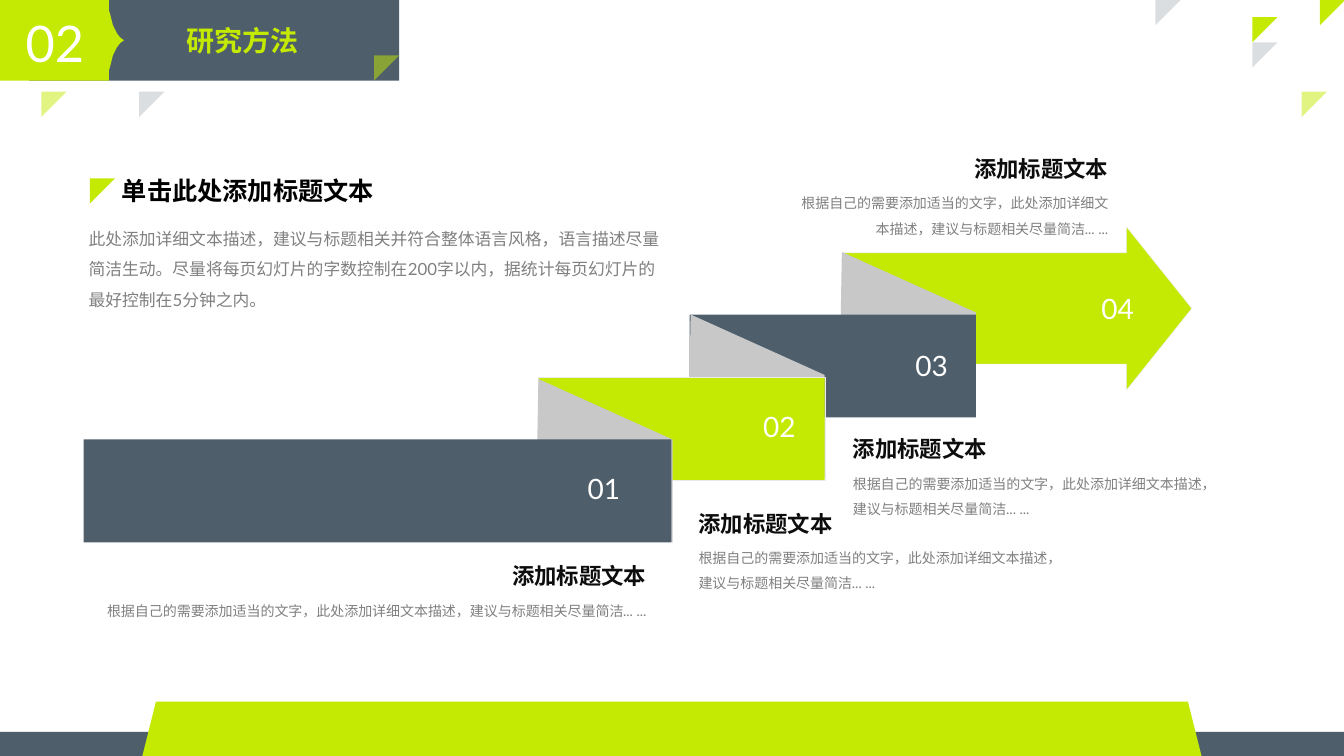
from pptx import Presentation, util as u
from pptx.dml.color import RGBColor
from pptx.enum import shapes, text
from pptx.oxml.ns import qn
from lxml import etree

# Content: lengths in px, 100 px to the inch
PX = 9144
LIME, SLATE, FOLD, EDGE = "C4E902", "4E5E6B", "C8C8C8", "EAEAEA"
WHITE, BLACK, INK, GREY = "FFFFFF", "000000", "0D0D0D", "808080"
KIND, ALIGN = shapes.MSO_SHAPE, text.PP_ALIGN
LEFT, MID, RIGHT = ALIGN.LEFT, ALIGN.CENTER, ALIGN.RIGHT

PART = ("02", "研究方法")
LEAD = "单击此处添加标题文本"
INTRO = ("此处添加详细文本描述，建议与标题相关并符合整体语言风格，语言描述尽量简洁生动。"
         "尽量将每页幻灯片的字数控制在200字以内，据统计每页幻灯片的最好控制在5分钟之内。")
HEAD = "添加标题文本"
NOTE = "根据自己的需要添加适当的文字，此处添加详细文本描述，建议与标题相关尽量简洁... ..."

# Corner triangles: x, y, colour, opacity in percent
CORNERS = [
    (1309, 0, LIME, 100), (1242, 42, SLATE, 20), (1291, 91, LIME, 50),
    (1242, 17, LIME, 100), (1146, 0, SLATE, 20),
    (41, 91, LIME, 50), (138, 91, SLATE, 20),
]
# Steps from back to front: band box, colour, edge, fold corner
STEPS = [
    ((836, 225, 346, 162), LIME, EDGE, (833, 250)),
    ((684, 312, 284, 102), SLATE, None, (683, 312)),
    ((534, 374, 284, 102), LIME, EDGE, (532, 376)),
    ((83, 436, 583, 102), SLATE, None, None),
]
FLAP = [(2, 0), (135, 60), (135, 162), (0, 112)]
# Step numbers: label, x, y, width
LABELS = [("01", 573, 463, 52), ("02", 745, 401, 56),
          ("03", 896, 341, 56), ("04", 1080, 284, 57)]
# Captions: x, y, width, height of note, alignment
NOTES = [(683, 501, 369, 58, LEFT), (836, 427, 369, 58, LEFT),
         (68, 553, 583, 33, RIGHT), (783, 149, 326, 58, RIGHT)]

deck = Presentation()
deck.slide_width, deck.slide_height = 1333 * PX, 750 * PX
page = deck.slides.add_slide(deck.slide_layouts[5])
tree = page.shapes


def color(code):
    return RGBColor.from_string(code)


def paint(shape, fill, edge=None, alpha=100):
    shape.shadow.inherit = False
    shape.fill.solid()
    shape.fill.fore_color.rgb = color(fill)
    if alpha < 100:
        tone = shape._element.spPr.find(qn("a:solidFill"))[0]
        etree.SubElement(tone, qn("a:alpha")).set("val", str(alpha * 1000))
    if edge:
        shape.line.color.rgb = color(edge)
        shape.line.width = u.Pt(0.25)
    else:
        shape.line.fill.background()
    return shape


def block(kind, box, fill, edge=None, alpha=100):
    shape = tree.add_shape(kind, *(n * PX for n in box))
    return paint(shape, fill, edge, alpha)


def corner(x, y, fill, alpha=100):
    block(KIND.RIGHT_TRIANGLE, (x, y, 25, 25), fill, alpha=alpha).rotation = 90


def outline(points, fill):
    path = tree.build_freeform(*points[0], scale=PX)
    path.add_line_segments(points[1:], close=True)
    return paint(path.convert_to_shape(), fill)


def curve(a, b, c, d, count=10):
    """Points along a cubic curve, both ends included."""
    spots = []
    for k in range(count + 1):
        t = k / count
        s = 1 - t
        spots.append(tuple(s**3 * p + 3 * s * s * t * q + 3 * s * t * t * r + t**3 * v
                           for p, q, r, v in zip(a, b, c, d)))
    return spots


def write(words, box, size, tint, bold=False, align=LEFT, space=1.0,
          wrap=True, shape=None):
    place = [n * PX for n in box]
    if shape is None:
        shape = tree.add_textbox(*place)
    shape.left, shape.top, shape.width, shape.height = place
    frame = shape.text_frame
    frame.text = words
    frame.word_wrap = wrap
    frame.auto_size = text.MSO_AUTO_SIZE.SHAPE_TO_FIT_TEXT
    frame.vertical_anchor = text.MSO_ANCHOR.TOP
    line = frame.paragraphs[0]
    line.alignment, line.line_spacing = align, space
    font = line.runs[0].font
    font.name, font.size, font.bold = "Lato", u.Pt(size), bold
    font.color.rgb = color(tint)


# Corner triangles and footer
for spot in CORNERS:
    corner(*spot)
block(KIND.RECTANGLE, (0, 726, 1333, 24), SLATE)
block(KIND.TRAPEZOID, (138, 696, 1057, 67), LIME)

# Banner with pointed number tab
block(KIND.RECTANGLE, (29, 0, 367, 80), SLATE)
upper = curve((108, 3), (108, 13), (110, 29), (123, 40))
lower = [(x, 80 - y) for x, y in reversed(upper[:-1])]
outline([(0, 0), (108, 0)] + upper + lower + [(108, 80), (0, 80)], LIME)
corner(371, 55, LIME, 50)
write(PART[0], (12, 7, 85, 71), 36, WHITE, align=MID, wrap=False)
title = tree.title
title._element.getparent().append(title._element)
write(PART[1], (175, 18, 176, 44), 20, LIME, bold=True, shape=title)

# Folded ribbon ending in an arrow
for rank, (box, fill, edge, fold) in enumerate(STEPS):
    band = block(KIND.RECTANGLE if rank else KIND.RIGHT_ARROW, box, fill, edge)
    if rank == 0:
        band.adjustments[0], band.adjustments[1] = 0.68, 0.4
    if fold:
        outline([(fold[0] + x, fold[1] + y) for x, y in FLAP], FOLD)
for label, x, y, w in LABELS:
    write(label, (x, y, w, 44), 20, WHITE, align=MID, wrap=False)

# Captions: heading above note, flush on the aligned side
for x, y, w, h, align in NOTES:
    write(NOTE, (x, y + 31, w, h), 10, GREY, align=align, space=1.5)
    left = x + w - 163 if align == RIGHT else x
    write(HEAD, (left, y, 163, 37), 16, INK, bold=True, align=align)

# Introduction
write(INTRO, (78, 212, 587, 98), 12, GREY, space=1.5)
write(LEAD, (111, 169, 381, 40), 18, BLACK, bold=True)
corner(89, 177, LIME)

deck.save("out.pptx")
